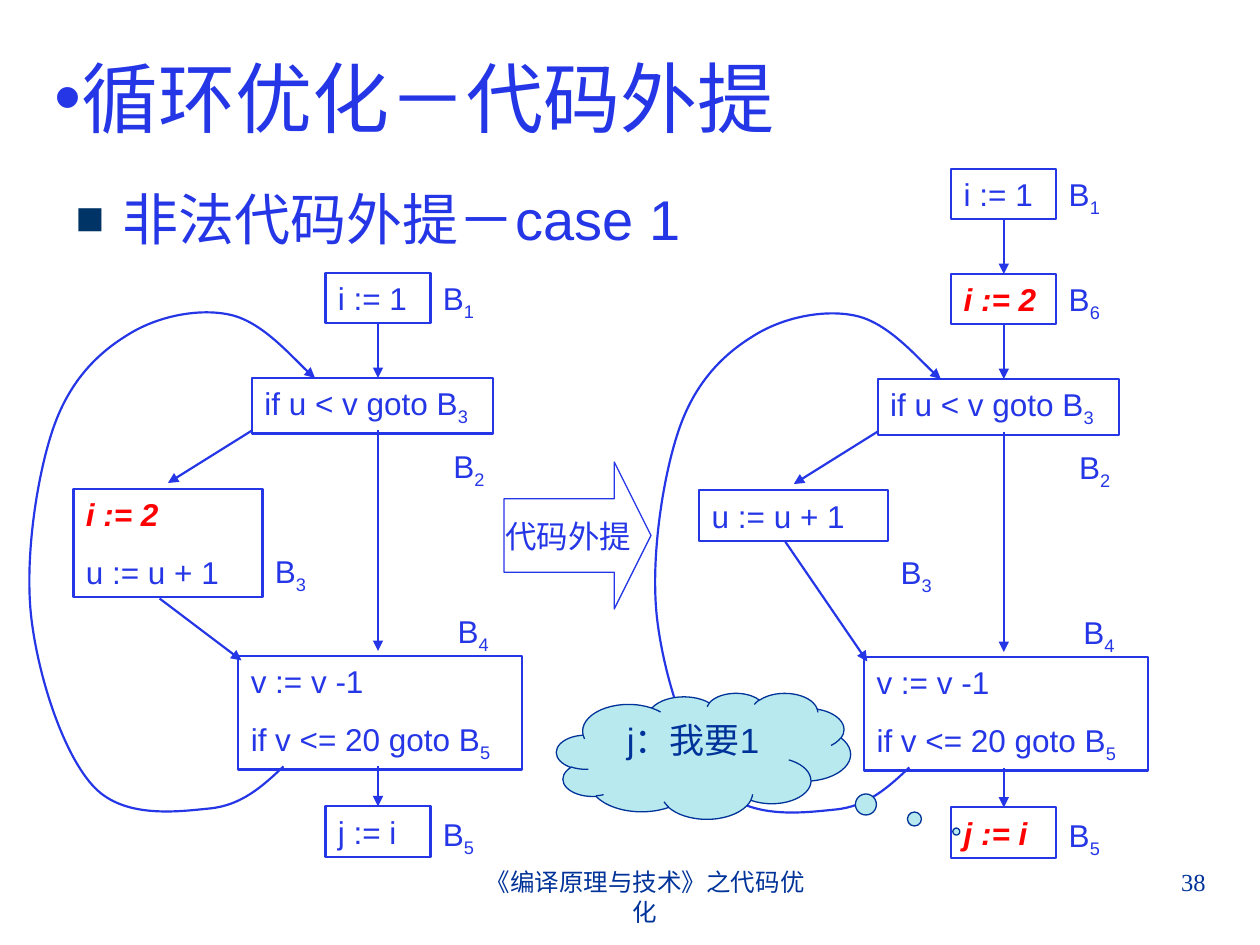
from lxml.etree import SubElement
from pptx import Presentation
from pptx.dml.color import RGBColor
from pptx.enum.shapes import MSO_CONNECTOR, MSO_SHAPE
from pptx.enum.text import MSO_ANCHOR, MSO_AUTO_SIZE, PP_ALIGN
from pptx.oxml.ns import qn
from pptx.util import Pt

PX = 7620  # EMU per px, 120 px to the inch
BLUE, NAVY, RED, CLOUD = "2436E6", "003399", "FF0000", "B8E9EE"
LOOP_START = (250, 470)
LOOP_BOX = (3, 33, 277, 487)
LOOP_CURVES = [
    [(230, 489), (210, 507), (180, 510)],
    [(150, 513), (99, 520), (70, 490)],
    [(41, 460), (17, 387), (10, 330)],
    [(3, 273), (15, 195), (30, 150)],
    [(45, 105), (71, 78), (100, 60)],
    [(129, 41), (170, 33), (200, 40)],
    [(230, 47), (267, 90), (280, 100)],
]


def px(*values):
    return [round(v * PX) for v in values]


def rgb(color):
    return RGBColor.from_string(color)


def add_run(p, text, size, color=BLUE, font="Arial"):
    r = p.add_run()
    r.text = text
    r.font.size = Pt(size)
    r.font.name = font
    r.font.color.rgb = rgb(color)
    return r


def write_code(sp, lines, hot=()):
    """Write code lines; "_" starts a subscript, hot lines are red bold italic."""
    tf = sp.text_frame
    tf.word_wrap = True
    tf.auto_size = MSO_AUTO_SIZE.SHAPE_TO_FIT_TEXT
    tf.vertical_anchor = MSO_ANCHOR.TOP
    for i, line in enumerate(lines):
        p = tf.add_paragraph() if i else tf.paragraphs[0]
        p.alignment = PP_ALIGN.LEFT
        p.space_before = Pt(11.2)
        text, _, sub = line.partition("_")
        r = add_run(p, text, 18, RED if line in hot else BLUE)
        if line in hot:
            r.font.bold = r.font.italic = True
        if sub:
            r = add_run(p, sub, 18)
            r._r.get_or_add_rPr().set("baseline", "-25000")


def add_preset(s, kind, box, color=BLUE, width=1.25, fill=None):
    sp = s.shapes.add_shape(kind, *px(*box))
    sp.shadow.inherit = False
    if fill:
        sp.fill.solid()
        sp.fill.fore_color.rgb = rgb(fill)
    else:
        sp.fill.background()
    sp.line.color.rgb = rgb(color)
    sp.line.width = Pt(width)
    return sp


def add_block(s, x, y, w, h, lines, hot):
    sp = add_preset(s, MSO_SHAPE.RECTANGLE, (x, y, w, h))
    write_code(sp, lines, hot)
    return sp


def add_label(s, x, y, text):
    write_code(s.shapes.add_textbox(*px(x, y, 100, 53)), [text])


def add_arrowhead(sp):
    SubElement(sp.line._get_or_add_ln(), qn("a:tailEnd"), type="triangle")


def add_arrow(s, x1, y1, x2, y2, source=None, target=None):
    c = s.shapes.add_connector(MSO_CONNECTOR.STRAIGHT, *px(x1, y1, x2, y2))
    if source is not None:
        c.begin_connect(source, 2)
    if target is not None:
        c.end_connect(target, 0)
    c.line.color.rgb = rgb(BLUE)
    c.line.width = Pt(1.25)
    add_arrowhead(c)
    SubElement(c._element.spPr, qn("a:effectLst"))


def add_loop_back(s, x, y):
    left, top, w, h = LOOP_BOX
    fb = s.shapes.build_freeform(x + left, y + top, scale=PX)
    fb.add_line_segments([(x + left + w, y + top + h)], close=False)
    sp = fb.convert_to_shape()
    path = sp._element.spPr.find(".//" + qn("a:path"))
    for segment in list(path):
        path.remove(segment)
    steps = [("a:moveTo", [LOOP_START])] + [("a:cubicBezTo", c) for c in LOOP_CURVES]
    for tag, points in steps:
        segment = SubElement(path, qn(tag))
        for a, b in points:
            SubElement(segment, qn("a:pt"), x=str(a - left), y=str(b - top))
    sp.shadow.inherit = False
    sp.fill.background()
    sp.line.color.rgb = rgb(BLUE)
    sp.line.width = Pt(1.25)
    add_arrowhead(sp)


def add_flow_graph(s, x, y, entry, body, body_height, hot):
    """Entry blocks 100 px apart, followed by the loop and its exit block."""
    above = None
    for i, (code, name) in enumerate(entry):
        top = y + 100 * i
        block = add_block(s, x + 290, top, 100, 48, [code], hot)
        add_label(s, x + 390, top, name)
        if above is not None:
            add_arrow(s, x + 340, top - 50, x + 340, top, above, block)
        above = block
    y = top
    add_block(s, x + 220, y + 100, 230, 53, ["if u < v goto B_3"], hot)
    add_block(s, x + 50, y + 206, 180, body_height, body, hot)
    add_block(s, x + 207, y + 365, 270, 108, ["v := v -1", "if v <= 20 goto B_5"], hot)
    last = add_block(s, x + 290, y + 508, 100, 48, ["j := i"], hot)
    for dx, dy, name in [(400, 160, "B_2"), (230, 260, "B_3"),
                         (404, 317, "B_4"), (390, 510, "B_5")]:
        add_label(s, x + dx, y + dy, name)
    add_arrow(s, x + 340, y + 50, x + 340, y + 100, source=above)
    add_arrow(s, x + 220, y + 150, x + 140, y + 200)
    add_arrow(s, x + 340, y + 150, x + 340, y + 360)
    add_arrow(s, x + 132, y + 207 + body_height, x + 210, y + 369)
    add_arrow(s, x + 340, y + 470, x + 340, y + 508, target=last)
    add_loop_back(s, x, y)


def fill_placeholder(sp, box, text, size, bullet, bullet_color, percent, indent, before):
    sp.left, sp.top, sp.width, sp.height = px(*box)
    tf = sp.text_frame
    tf.auto_size = MSO_AUTO_SIZE.NONE
    p = tf.paragraphs[0]
    p.alignment = PP_ALIGN.LEFT
    p.space_before = Pt(before)
    add_run(p, text, size)
    pPr = p._p.get_or_add_pPr()
    pPr.set("marL", str(indent * PX))
    pPr.set("indent", str(-indent * PX))
    SubElement(SubElement(pPr, qn("a:buClr")), qn("a:srgbClr"), val=bullet_color)
    SubElement(pPr, qn("a:buSzPct"), val=str(percent * 1000))
    SubElement(pPr, qn("a:buFont"), typeface="Arial")
    SubElement(pPr, qn("a:buChar"), char=bullet)


def add_callout(s, kind, box, adjustments, text, size, color, fill, anchor, wrap):
    sp = add_preset(s, kind, box, color, 0.75, fill)
    for i, value in enumerate(adjustments):
        sp.adjustments[i] = value
    tf = sp.text_frame
    tf.word_wrap = wrap
    tf.vertical_anchor = anchor
    tf.paragraphs[0].alignment = PP_ALIGN.CENTER
    add_run(tf.paragraphs[0], text, size, color)


def add_footer(s, box, text, align):
    tf = s.shapes.add_textbox(*px(*box)).text_frame
    tf.word_wrap = True
    p = tf.paragraphs[0]
    p.alignment = align
    p._p.get_or_add_pPr().set("marL", str(29 * PX))
    add_run(p, text, 14, NAVY, "Times New Roman")


def main():
    prs = Presentation()
    prs.slide_width, prs.slide_height = px(1200, 900)
    s = prs.slides.add_slide(prs.slide_layouts[1])
    fill_placeholder(s.shapes.title, (40, 30, 1120, 124), "循环优化－代码外提",
                     44, "•", BLUE, 100, 0, 0)
    fill_placeholder(s.placeholders[1], (60, 170, 1080, 634), "非法代码外提－case 1",
                     32, "■", "003366", 85, 45, 8)
    add_flow_graph(s, 20, 260, [("i := 1", "B_1")], ["i := 2", "u := u + 1"], 103,
                   {"i := 2"})
    add_callout(s, MSO_SHAPE.RIGHT_ARROW, (480, 440, 140, 140), (0.5, 0.25),
                "代码外提", 18, BLUE, None, MSO_ANCHOR.MIDDLE, False)
    add_flow_graph(s, 616, 161, [("i := 1", "B_1"), ("i := 2", "B_6")], ["u := u + 1"], 48,
                   {"i := 2", "j := i"})
    add_callout(s, MSO_SHAPE.CLOUD_CALLOUT, (530, 660, 280, 120), (0.86, 0.6),
                "j：我要1", 20, NAVY, CLOUD, MSO_ANCHOR.TOP, True)
    add_footer(s, (410, 820, 380, 62), "《编译原理与技术》之代码优化", PP_ALIGN.CENTER)
    add_footer(s, (860, 820, 300, 62), "38", PP_ALIGN.RIGHT)
    prs.save("out.pptx")


if __name__ == "__main__":
    main()
